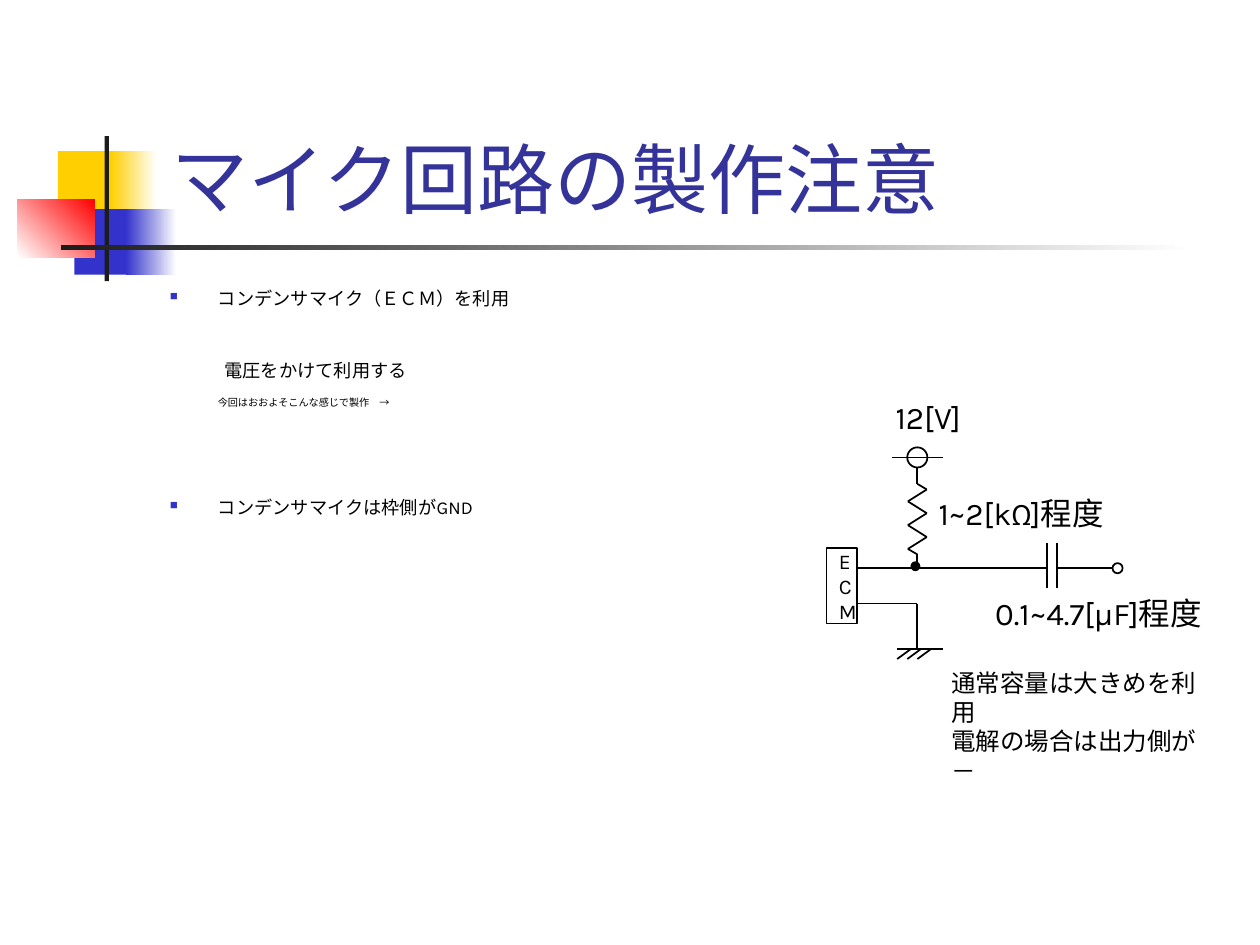
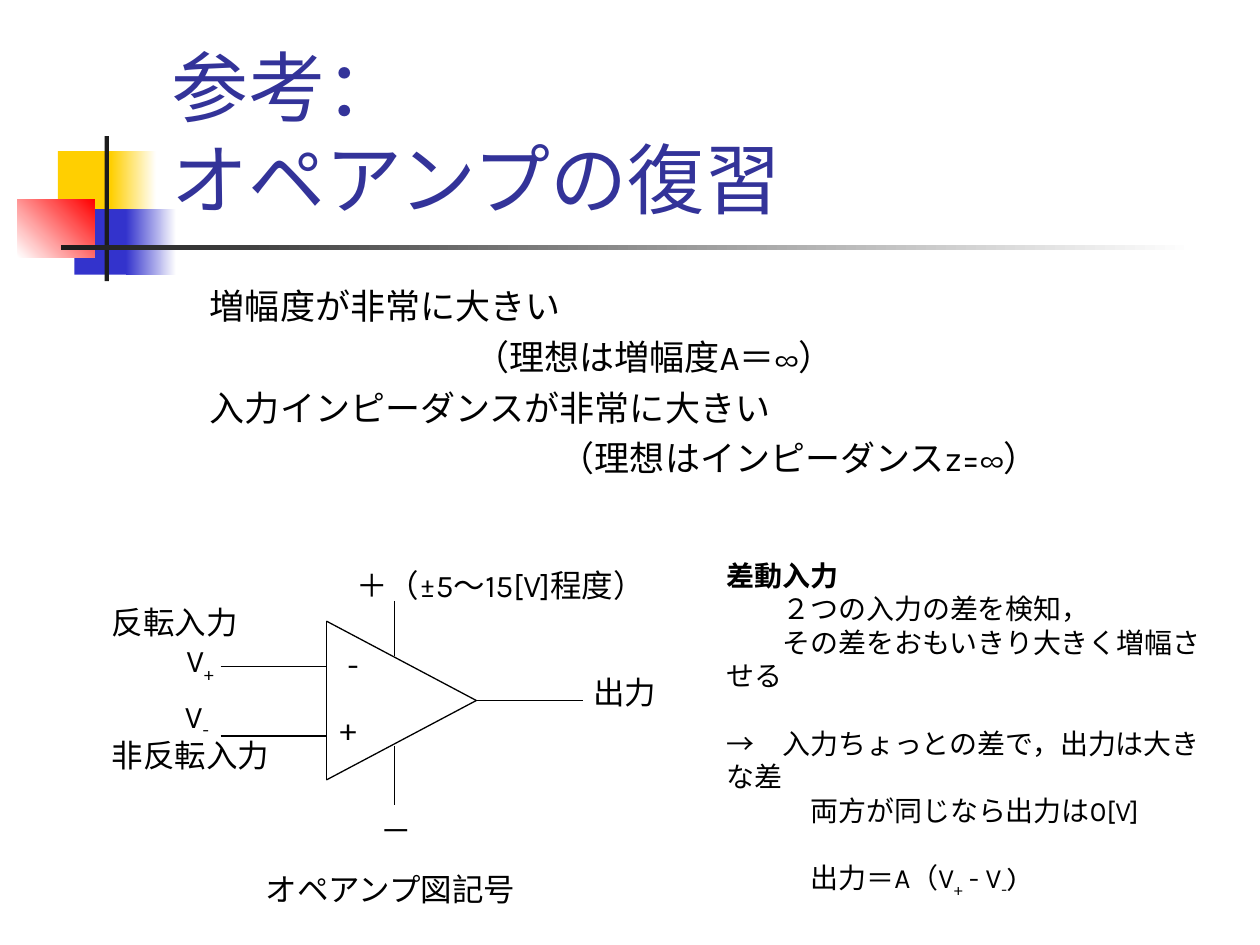
from dataclasses import dataclass
from itertools import pairwise

from lxml import etree
from pptx import Presentation
from pptx.dml.color import RGBColor
from pptx.enum import shapes, text
from pptx.oxml.ns import qn
from pptx.util import Pt

FONT = "Karla"
BLACK = RGBColor(0x00, 0x00, 0x00)
WHITE = RGBColor(0xFF, 0xFF, 0xFF)
YELLOW = RGBColor(0xFF, 0xCF, 0x01)
BLUE = RGBColor(0x33, 0x33, 0xCC)
RED = RGBColor(0xFF, 0x00, 0x00)
CHARCOAL = RGBColor(0x1C, 0x1C, 0x1C)
TITLE_BLUE = RGBColor(0x33, 0x33, 0x99)

RECT = shapes.MSO_SHAPE.RECTANGLE
OVAL = shapes.MSO_SHAPE.OVAL


@dataclass
class Line:
    """One paragraph; each span is (text, style), style "", "bold" or "sub"."""
    spans: list
    before: float = 0
    left: float = 0
    first: float = 0
    bullet: bool = False
    size: float = 0


def plain(words, **layout):
    return Line([(words, "")], **layout)


# (left, top, width, height), colours from first to last, gradient angle
ORNAMENT = [
    ((33.1, 86.4, 34.6, 37.4), [YELLOW], 0),
    ((63.4, 86.4, 25.9, 37.4), [YELLOW, WHITE], 0),
    ((42.5, 119.5, 33.1, 37.4), [BLUE], 0),
    ((72, 119.5, 28.8, 37.4), [BLUE, WHITE], 0),
    ((10.1, 113.8, 43.9, 33.1), [WHITE, RED], 45),
    ((59.8, 77.8, 2.4, 82.8), [CHARCOAL], 0),
    ((34.6, 140.2, 648, 2.5), [CHARCOAL, WHITE], 0),
]
TITLE_BOX = (90.7, 16.6, 613.4, 115.2)

MIC_TITLE = ["マイク回路の製作注意"]
MIC_NOTES = [
    plain("コンデンサマイク（ＥＣＭ）を利用", left=27.4, first=-27.4, bullet=True),
    plain("電圧をかけて利用する", before=28.5, left=31.2),
    plain("今回はおおよそこんな感じで製作　→", before=8.8, left=27.4, size=5.8),
    plain("コンデンサマイクは枠側がGND", before=50, left=27.4, first=-27.4, bullet=True),
]
MIC_LABELS = [
    ("1~2[kΩ]程度", (529.2, 278.6, 121, 28.8)),
    ("0.1~4.7[μF]程度", (561.6, 336.2, 148.3, 28.8)),
    ("12[V]", (504.7, 223.9, 57.6, 28.8)),
]
CAPACITOR_NOTES = [plain("通常容量は大きめを利用"), plain("電解の場合は出力側が－")]

AMP_TITLE = ["参考：", "オペアンプの復習"]
AMP_FEATURES = [
    plain("増幅度が非常に大きい", left=20),
    plain("（理想は増幅度A＝∞）", before=5, left=171),
    plain("入力インピーダンスが非常に大きい", before=5, left=20),
    plain("（理想はインピーダンスz=∞）", before=5, left=220),
]
AMP_LABELS = [
    ("-", (191.5, 365, 20.2, 28.8)),
    ("+", (187.2, 401.8, 24.5, 28.8)),
    ("反転入力", (56.9, 341.3, 86.4, 28.8)),
    ("非反転入力", (56.9, 416.9, 104.4, 28.8)),
    ("＋（±5～15[V]程度）", (196.6, 319.7, 203, 28.8)),
    ("－", (210.2, 460.1, 32.4, 28.8)),
    ("出力", (331.9, 380.9, 50.4, 28.8)),
    ("オペアンプ図記号", (144.7, 493.9, 158.4, 28.8)),
]
INPUT_LABELS = [("+", (99.4, 362.9, 31, 31.7)), ("-", (98.6, 394.6, 28.1, 31.7))]
DIFFERENTIAL_NOTES = [
    Line([("差動入力", "bold")]),
    plain("２つの入力の差を検知，", first=32),
    plain("その差をおもいきり大きく増幅させる", first=32),
    plain("→　入力ちょっとの差で，出力は大きな差", before=19.2),
    plain("両方が同じなら出力は0[V]", first=48),
    Line([("出力＝A（V", ""), ("+", "sub"), (" - V", ""), ("-", "sub"), (")", "")],
         before=19.2, first=48),
]


def points(box):
    return [Pt(length) for length in box]


def add_span(para, words, size, colour=BLACK, style=""):
    span = para.add_run()
    span.text = words
    font = span.font
    font.name, font.size, font.bold = FONT, Pt(size), style == "bold"
    font.color.rgb = colour
    properties = span._r.get_or_add_rPr()
    etree.SubElement(properties, qn("a:ea")).set("typeface", FONT)
    if style == "sub":
        properties.set("baseline", "-25000")


def add_bullet(para):
    properties = para._p.get_or_add_pPr()
    colour = etree.SubElement(properties, qn("a:buClr"))
    etree.SubElement(colour, qn("a:srgbClr")).set("val", str(BLUE))
    etree.SubElement(properties, qn("a:buSzPct")).set("val", "60000")
    etree.SubElement(properties, qn("a:buChar")).set("char", "■")


def add_text(page, lines, box, size, wrap=True):
    frame = page.shapes.add_textbox(*points(box)).text_frame
    frame.word_wrap = wrap
    if not wrap:
        frame.auto_size = text.MSO_AUTO_SIZE.SHAPE_TO_FIT_TEXT
    for index, line in enumerate(lines):
        para = frame.add_paragraph() if index else frame.paragraphs[0]
        para.space_before = Pt(line.before)
        properties = para._p.get_or_add_pPr()
        properties.set("marL", str(Pt(line.left)))
        properties.set("indent", str(Pt(line.first)))
        if line.bullet:
            add_bullet(para)
        for words, style in line.spans:
            add_span(para, words, line.size or size, style=style)


def add_labels(page, labels):
    for words, box in labels:
        add_text(page, [plain(words)], box, 18, wrap=False)


def add_part(page, kind, box, fill=WHITE, weight=1.0):
    part = page.shapes.add_shape(kind, *points(box))
    part.shadow.inherit = False
    part.fill.solid()
    part.fill.fore_color.rgb = fill
    if weight:
        part.line.color.rgb = BLACK
        part.line.width = Pt(weight)
    else:
        part.line.fill.background()
    return part


def add_wire(page, *corners, weight=1.0):
    """Join consecutive corners with straight lines."""
    for start, end in pairwise(corners):
        wire = page.shapes.add_connector(
            shapes.MSO_CONNECTOR.STRAIGHT, *points(start + end))
        wire.line.color.rgb = BLACK
        wire.line.width = Pt(weight)
        etree.SubElement(wire._element.spPr, qn("a:effectLst"))


def add_ornament(page):
    """Draw the ornament and hand it to the layout, so all pages share it."""
    for box, colours, angle in ORNAMENT:
        part = add_part(page, RECT, box, colours[0], weight=0)
        if len(colours) > 1:
            part.fill.gradient()
            part.fill.gradient_angle = angle
            for stop, colour in zip(part.fill.gradient_stops, colours):
                stop.color.rgb = colour
        page.slide_layout.shapes.element.append(part._element)


def set_title(page, lines):
    title = page.shapes.title
    title.left, title.top, title.width, title.height = points(TITLE_BOX)
    frame = title.text_frame
    frame.auto_size = text.MSO_AUTO_SIZE.NONE
    frame.vertical_anchor = text.MSO_ANCHOR.BOTTOM
    para = frame.paragraphs[0]
    para.alignment = text.PP_ALIGN.LEFT
    for index, words in enumerate(lines):
        if index:
            para.add_line_break()
        add_span(para, words, 44, TITLE_BLUE)


def draw_mic_circuit(page):
    axis, supply, signal, ground = 524.2, 261.4, 324.7, 370.8
    mic_right, low_pin = 489.6, 344.9
    plates, output = (598.3, 604.1), 638.6

    add_part(page, OVAL, (axis - 5.75, supply - 5.75, 11.5, 11.5))
    add_wire(page, (509.8, supply), (538.6, supply))
    zigzag = [(axis + (-5.4 if step % 2 else 5.4), 279.7 + 6.8 * step)
              for step in range(6)]
    add_wire(page, (axis, 267.1), (axis, 276.5), *zigzag, (axis, 316.8), (axis, signal))

    mic = add_part(page, RECT, (472.3, 313.2, 17.3, 43.2))
    mic.text_frame.word_wrap = True
    mic.text_frame.vertical_anchor = text.MSO_ANCHOR.MIDDLE
    para = mic.text_frame.paragraphs[0]
    para.alignment = text.PP_ALIGN.CENTER
    add_span(para, "ECM", 12)

    add_wire(page, (mic_right, signal), (plates[0], signal))
    for plate in plates:
        add_wire(page, (plate, 310.3), (plate, 336.2))
    add_wire(page, (mic_right, low_pin), (axis, low_pin), (axis, ground))
    add_wire(page, (512.6, ground), (538.6, ground))
    for hatch in range(3):
        top = 520.6 + 5.76 * hatch
        add_wire(page, (top, ground), (top - 7.9, ground + 5.8))
    add_part(page, OVAL, (521.3, 321.8, 3.6, 3.6), BLACK, weight=2)
    add_wire(page, (plates[1], signal), (output, signal))
    add_part(page, OVAL, (output - 2.9, signal - 2.9, 5.8, 5.8))


def draw_amp_symbol(page):
    base, tip, middle, half = 186.5, 272.2, 400.3, 45.4
    top, bottom, power = (base, middle - half), (base, middle + half), 225.4
    wires = [
        [top, bottom, (tip, middle), top],
        [(126, 380.9), (base, 380.9)],
        [(126, 420.5), (base, 420.5)],
        [(tip, middle), (333.4, middle)],
        [(power, 426.2), (power, 460.1)],
        [(power, 343.4), (power, 375.1)],
    ]
    for corners in wires:
        add_wire(page, *corners, weight=0.75)


def build_mic_page(page):
    set_title(page, MIC_TITLE)
    add_text(page, MIC_NOTES, (90, 160.6, 612, 144), 10.4)
    draw_mic_circuit(page)
    add_labels(page, MIC_LABELS)
    add_text(page, CAPACITOR_NOTES, (536.4, 378, 168.5, 41), 14, wrap=False)


def build_amp_page(page):
    set_title(page, AMP_TITLE)
    add_text(page, AMP_FEATURES, (92.9, 159.1, 542.2, 153.4), 20)
    draw_amp_symbol(page)
    add_labels(page, AMP_LABELS)
    for sign, box in INPUT_LABELS:
        add_text(page, [Line([("V", ""), (sign, "sub")])], box, 18, wrap=False)
    add_text(page, DIFFERENTIAL_NOTES, (408.2, 315.4, 292.3, 201.6), 16)


def main():
    deck = Presentation()
    deck.slide_width, deck.slide_height = Pt(720), Pt(540)
    layout = deck.slide_layouts[5]
    mic_page, amp_page = (deck.slides.add_slide(layout) for _ in range(2))
    add_ornament(mic_page)
    build_mic_page(mic_page)
    build_amp_page(amp_page)
    deck.save("out.pptx")


if __name__ == "__main__":
    main()
